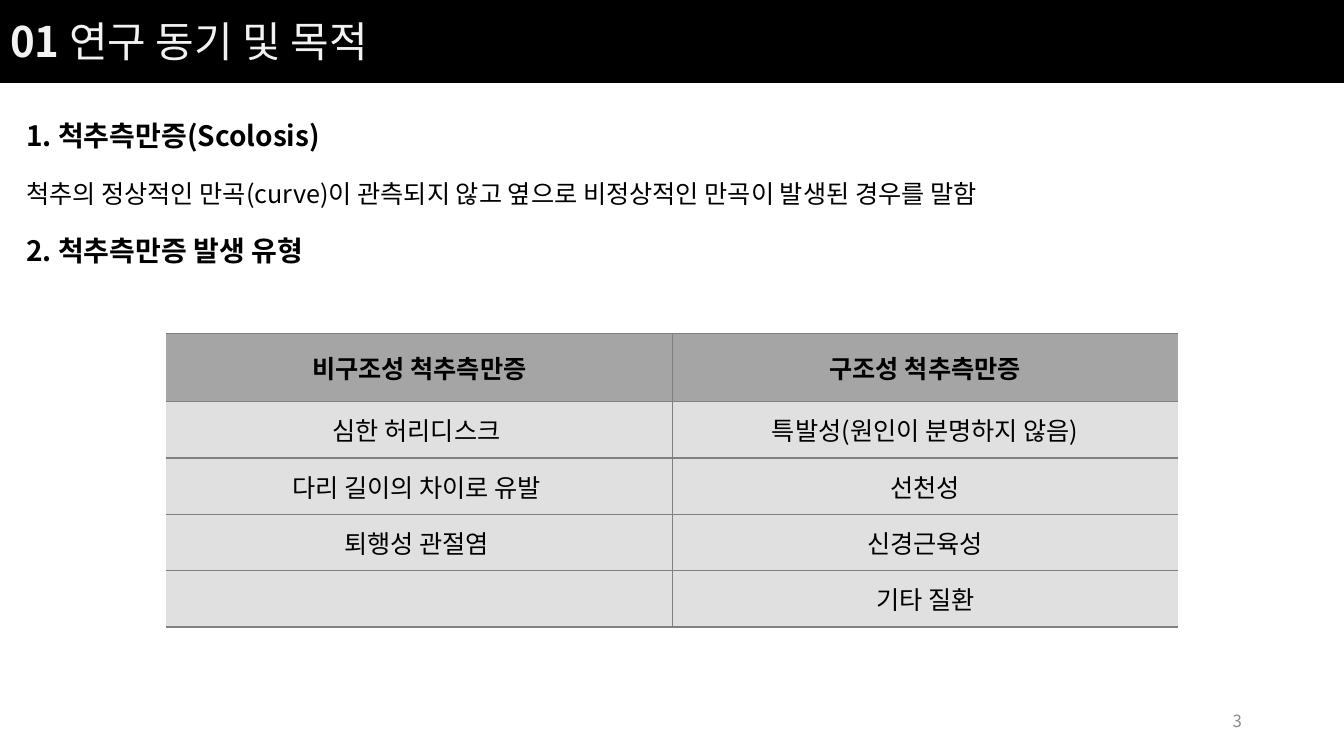
from dataclasses import dataclass

from lxml.etree import SubElement
from pptx import Presentation
from pptx.dml.color import RGBColor
from pptx.enum.shapes import MSO_SHAPE
from pptx.enum.text import MSO_ANCHOR as Anchor, MSO_AUTO_SIZE as AutoSize, PP_ALIGN as Align
from pptx.oxml.ns import qn
from pptx.util import Cm, Pt

FONT = "Noto Sans CJK KR"
RULE = "808080"
TYPES = [
    ("비구조성 척추측만증", "구조성 척추측만증"),
    ("심한 허리디스크 ", "특발성(원인이 분명하지 않음)"),
    ("다리 길이의 차이로 유발 ", "선천성"),
    ("퇴행성 관절염 ", "신경근육성"),
    ("", "기타 질환"),
]


@dataclass(frozen=True)
class Span:
    text: str
    size: float
    bold: bool = False
    color: str = "000000"


@dataclass(frozen=True)
class Line:
    spans: tuple[Span, ...]
    format: dict


@dataclass(frozen=True)
class Box:
    left: float
    top: float
    width: float
    height: float

    def lengths(self) -> tuple:
        """Give the four lengths in order."""
        return Cm(self.left), Cm(self.top), Cm(self.width), Cm(self.height)


def rgb(color: str) -> RGBColor:
    """Turn a hex string into a colour."""
    return RGBColor.from_string(color)


def apply(target, values: dict) -> None:
    """Set each named attribute on the target."""
    for name, value in values.items():
        setattr(target, name, value)


def write(frame, lines: list[Line]) -> None:
    """Fill a text frame with formatted lines."""
    for index, line in enumerate(lines):
        paragraph = frame.add_paragraph() if index else frame.paragraphs[0]
        apply(paragraph, line.format)
        for span in line.spans:
            run = paragraph.add_run()
            run.text = span.text
            apply(run.font, {"name": FONT, "size": Pt(span.size), "bold": span.bold})
            run.font.color.rgb = rgb(span.color)
            SubElement(run.font._element, qn("a:ea"), typeface=FONT)


def add_text(slide, box: Box, lines: list[Line], anchor=Anchor.TOP) -> None:
    """Add a wrapped text box."""
    frame = slide.shapes.add_textbox(*box.lengths()).text_frame
    apply(frame, {"word_wrap": True, "vertical_anchor": anchor})
    write(frame, lines)


def add_band(slide, box: Box) -> None:
    """Draw the black heading band."""
    band = slide.shapes.add_shape(MSO_SHAPE.RECTANGLE, *box.lengths())
    band.shadow.inherit = False
    band.fill.solid()
    band.fill.fore_color.rgb = rgb("000000")
    band.line.color.rgb = rgb("000000")
    band.line.width = Pt(2)


def set_heading(slide, box: Box, spans: tuple[Span, ...]) -> None:
    """Place the title over the band and write it."""
    title = slide.shapes.title
    slide.shapes._spTree.append(title._element)
    apply(title, dict(zip(("left", "top", "width", "height"), box.lengths())))
    apply(title.text_frame, {"word_wrap": True, "auto_size": AutoSize.NONE,
                             "vertical_anchor": Anchor.TOP})
    write(title.text_frame, [Line(spans, {"alignment": Align.LEFT, "line_spacing": 0.9})])


def set_borders(cell, widths: dict[str, float]) -> None:
    """Rule the sides of a cell, hiding those of zero width."""
    properties = cell._tc.get_or_add_tcPr()
    for side, width in widths.items():
        border = SubElement(properties, qn(f"a:ln{side}"), w=str(Pt(width)))
        if width:
            SubElement(SubElement(border, qn("a:solidFill")), qn("a:srgbClr"), val=RULE)
        else:
            SubElement(border, qn("a:noFill"))


def add_types_table(slide, box: Box, header_height: float, row_height: float) -> None:
    """Add the table of scoliosis types."""
    columns = len(TYPES[0])
    table = slide.shapes.add_table(len(TYPES), columns, *box.lengths()).table
    apply(table, {"first_row": False, "horz_banding": False})
    for column in table.columns:
        column.width = Cm(box.width / columns)
    for r, texts in enumerate(TYPES):
        header = r == 0
        table.rows[r].height = Cm(header_height if header else row_height)
        for c, text in enumerate(texts):
            cell = table.cell(r, c)
            cell.vertical_anchor = Anchor.MIDDLE
            set_borders(cell, {"L": 0.5 if c else 0, "R": 0.5 if c < columns - 1 else 0,
                               "T": 0.5 if r == 1 else 1, "B": 0.5 if header else 1})
            cell.fill.solid()
            cell.fill.fore_color.rgb = rgb("A5A5A5" if header else "E0E0E0")
            if text:
                write(cell.text_frame, [Line((Span(text, 18, header),), {"alignment": Align.CENTER})])


def main() -> None:
    """Build the slide and save it."""
    deck = Presentation()
    apply(deck, {"slide_width": Cm(33.87), "slide_height": Cm(19.05)})
    slide = deck.slides.add_slide(deck.slide_layouts[5])

    add_text(slide, Box(23.93, 17.65, 7.62, 1.02),
             [Line((Span("3", 12, color="8B8B8B"),), {"alignment": Align.RIGHT})], Anchor.MIDDLE)
    add_text(slide, Box(0.41, 2.95, 27.03, 4.24), [
        Line((Span("1. 척추측만증(Scolosis)", 20, True),), {"line_spacing": 0.9}),
        Line((Span("척추의 정상적인 만곡(curve)이 관측되지 않고 옆으로 비정상적인 만곡이 발생된 경우를 말함", 18),),
             {"line_spacing": 0.9, "space_before": Pt(21)}),
        Line((Span("2. 척추측만증 발생 유형", 20, True),),
             {"line_spacing": 0.9, "space_before": Pt(20)}),
    ])
    add_types_table(slide, Box(4.19, 8.41, 25.5, 7.39), 1.71, 1.42)
    add_band(slide, Box(0, 0, 33.87, 2.06))
    set_heading(slide, Box(0, 0.41, 11.18, 2.82),
                (Span("01 ", 30, True, "F2F2F2"), Span("연구 동기 및 목적", 30, color="F2F2F2")))
    deck.save("out.pptx")


if __name__ == "__main__":
    main()
